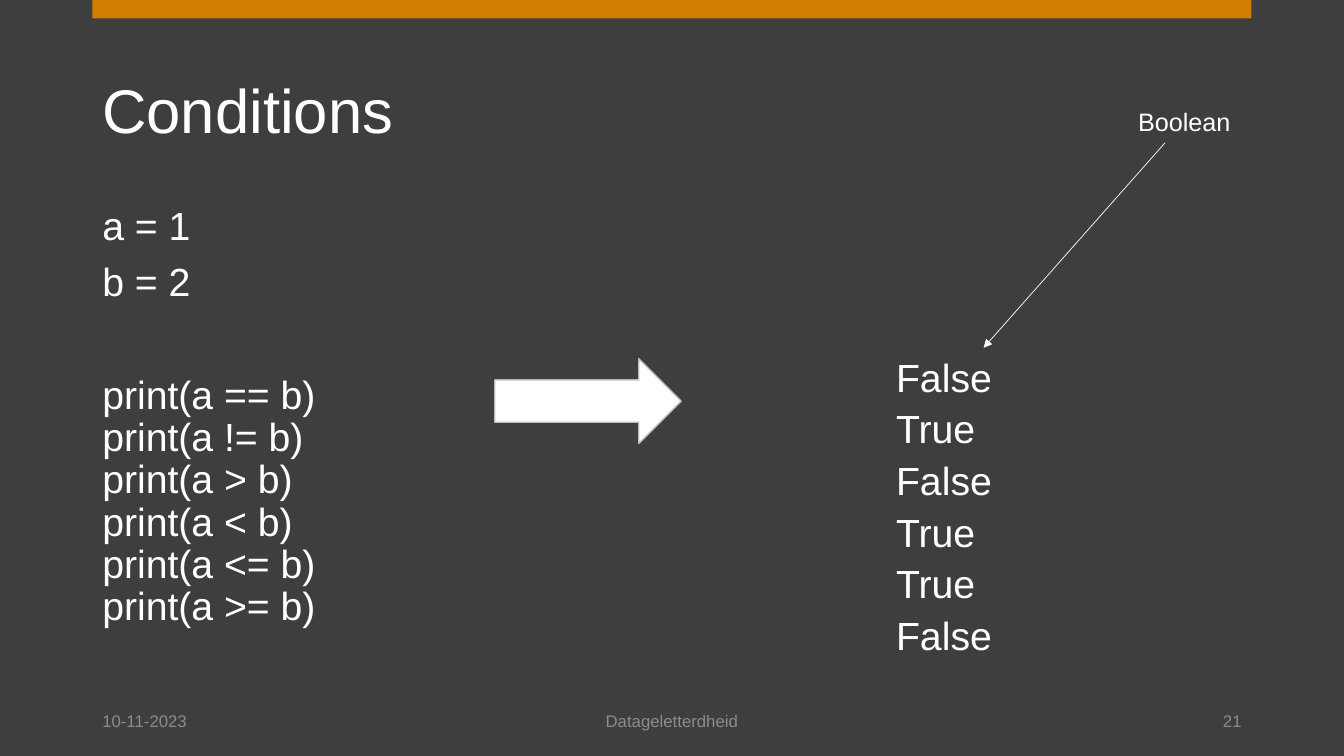
import dataclasses

import lxml.etree
import pptx
import pptx.dml.color
import pptx.enum.shapes
import pptx.enum.text
import pptx.oxml.ns
import pptx.util

COLORS = {"background": "3E3E41", "bar": "D17D00", "text": "FFFFFF",
          "footer": "8C8C8C", "arrow": "FEFFFF", "outline": "BCBDBD"}

# Grid of 160 columns by 90 rows, each cell 1/12 inch
CELL = pptx.util.Inches(1) // 12
COLS, ROWS = 160, 90
MARGIN = 11

ALIGN = pptx.enum.text.PP_ALIGN
ANCHOR = pptx.enum.text.MSO_ANCHOR
SHAPE = pptx.enum.shapes.MSO_SHAPE


@dataclasses.dataclass
class Box:
    col: float
    row: float
    cols: float
    rows: float

    def emu(self) -> list[int]:
        return [cells(n) for n in (self.col, self.row, self.cols, self.rows)]


@dataclasses.dataclass
class Text:
    box: Box
    lines: list[str]
    size: int
    color: str = "text"
    align: ALIGN = ALIGN.LEFT
    anchor: ANCHOR = ANCHOR.TOP
    spacing: float = 1.0
    before: int = 0
    gaps: dict[int, int] = dataclasses.field(default_factory=dict)


def cells(n: float) -> int:
    return round(n * CELL)


def rgb(name: str) -> pptx.dml.color.RGBColor:
    return pptx.dml.color.RGBColor.from_string(COLORS[name])


def add_text(s: pptx.slide.Slide, text: Text) -> None:
    tf = s.shapes.add_textbox(*text.box.emu()).text_frame
    tf.word_wrap = True
    tf.vertical_anchor = text.anchor
    for i, line in enumerate(text.lines):
        p = tf.add_paragraph() if i else tf.paragraphs[0]
        p.text = line
        p.alignment = text.align
        p.line_spacing = text.spacing
        if i:
            p.space_before = pptx.util.Pt(text.gaps.get(i, text.before))
        p.font.name = "Arial"
        p.font.size = pptx.util.Pt(text.size)
        p.font.color.rgb = rgb(text.color)


def add_block(s: pptx.slide.Slide, kind: SHAPE, box: Box, fill: str,
              outline: str | None = None) -> None:
    sp = s.shapes.add_shape(kind, *box.emu())
    sp.shadow.inherit = False
    sp.fill.solid()
    sp.fill.fore_color.rgb = rgb(fill)
    if outline:
        sp.line.color.rgb = rgb(outline)
        sp.line.width = pptx.util.Pt(1)
    else:
        sp.line.fill.background()


def add_pointer(s: pptx.slide.Slide, start: tuple[float, float],
                end: tuple[float, float]) -> None:
    cn = s.shapes.add_connector(pptx.enum.shapes.MSO_CONNECTOR.STRAIGHT,
                                *map(cells, start + end))
    cn.line.color.rgb = rgb("arrow")
    cn.line.width = pptx.util.Pt(0.5)
    qn = pptx.oxml.ns.qn
    lxml.etree.SubElement(cn.line._get_or_add_ln(), qn("a:tailEnd"), type="triangle")
    lxml.etree.SubElement(cn._element.spPr, qn("a:effectLst"))


def footer(col: float, cols: float, line: str, align: ALIGN) -> Text:
    return Text(Box(col, 83.4, cols, 4.8), [line], 12, "footer", align, ANCHOR.MIDDLE)


OPERATORS = ["==", "!=", ">", "<", "<=", ">="]
PRINTS = "\v".join(f"print(a {op} b)" for op in OPERATORS)

TEXTS = [
    footer(MARGIN, 36, "10-11-2023", ALIGN.LEFT),
    footer(53, 54, "Datageletterdheid", ALIGN.CENTER),
    footer(113, 36, "21", ALIGN.RIGHT),
    Text(Box(MARGIN, 4.8, 138, 17.4), ["Conditions"], 44,
         anchor=ANCHOR.MIDDLE, spacing=0.9),
    # Code, with a wider gap before the print calls
    Text(Box(MARGIN, 24, 28.8, 57.1), ["a = 1", "b = 2", PRINTS], 28,
         spacing=0.9, before=10, gaps={2: 50}),
    # Output of each print call
    Text(Box(105.5, 42.5, 32, 38.6),
         ["False", "True", "False", "True", "True", "False"], 28,
         spacing=0.8, before=10),
    Text(Box(134.3, 12.1, 14.8, 4.8), ["Boolean"], 18),
]


def main() -> None:
    prs = pptx.Presentation()
    prs.slide_width, prs.slide_height = COLS * CELL, ROWS * CELL
    s = prs.slides.add_slide(prs.slide_layouts[6])
    s.background.fill.solid()
    s.background.fill.fore_color.rgb = rgb("background")

    # Top bar
    add_block(s, SHAPE.RECTANGLE, Box(MARGIN, 0, 138, 2.2), "bar")

    # Title, code, output, label and footer
    for text in TEXTS:
        add_text(s, text)

    # Arrow from code to output, pointer from label to output
    add_block(s, SHAPE.RIGHT_ARROW, Box(58.9, 42.7, 22.2, 10.1), "arrow", "outline")
    add_pointer(s, (138.7, 17), (117.1, 41.4))

    prs.save("out.pptx")


if __name__ == "__main__":
    main()
